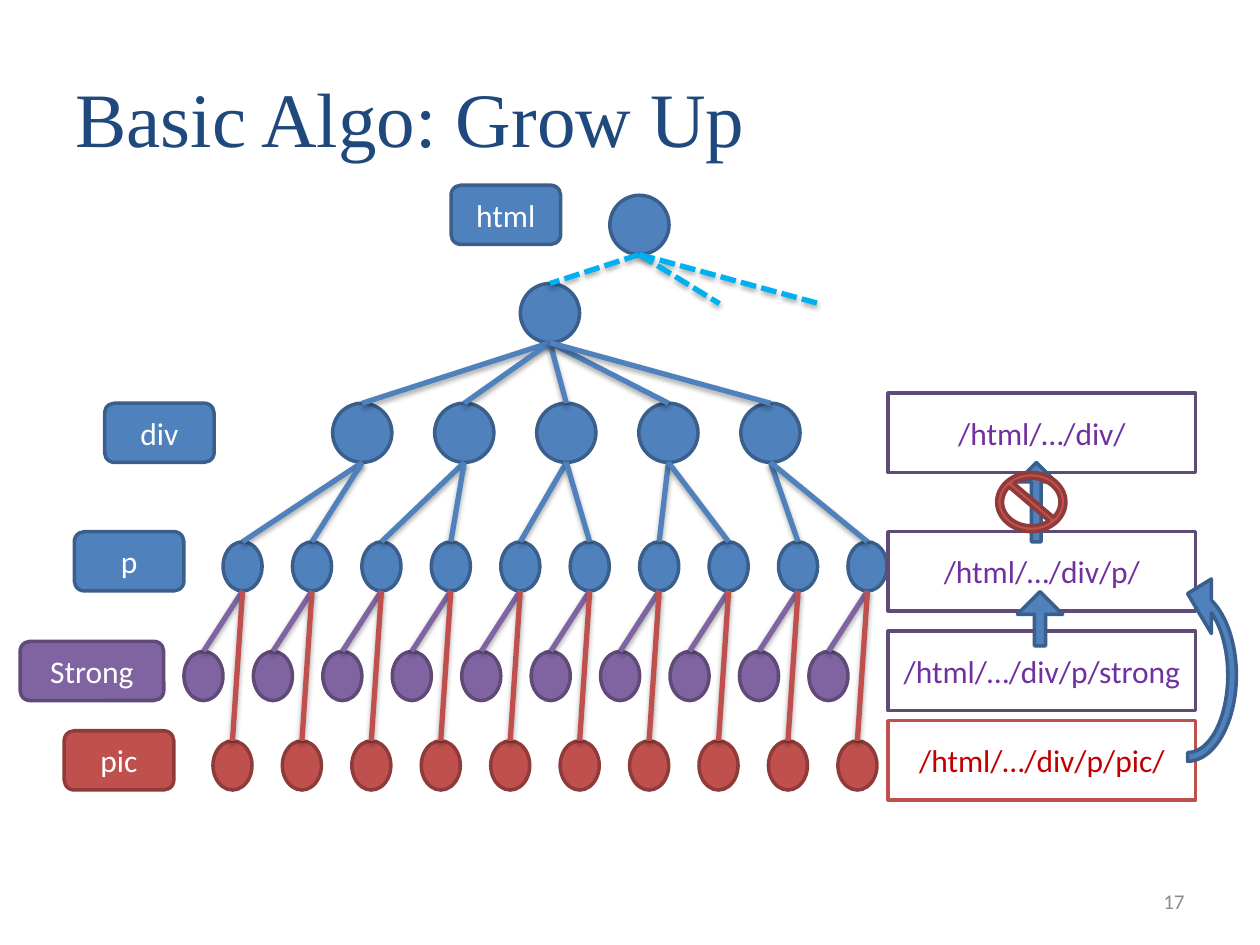
from lxml.etree import SubElement
from pptx import Presentation
from pptx.dml.color import RGBColor
from pptx.enum.dml import MSO_LINE
from pptx.enum.shapes import MSO_CONNECTOR, MSO_SHAPE
from pptx.enum.text import MSO_ANCHOR, PP_ALIGN
from pptx.oxml.ns import qn
from pptx.util import Inches, Pt

BLUE = {"fill": "4F81BD", "line": "3A5F8C"}
PURPLE = {"fill": "8064A2", "line": "5F4A78"}
RED = {"fill": "C0504D", "line": "8E3B39"}
LARGE_NODE = (0.47, 0.47)
SMALL_NODE = (0.31, 0.39)


def color(value):
    """Turn a hex string into a colour."""
    return RGBColor.from_string(value)


def write(shape, text, size, hex_color, font="Calibri", align=PP_ALIGN.CENTER):
    """Write one formatted line of text into a shape."""
    frame = shape.text_frame
    frame.word_wrap = True
    frame.vertical_anchor = MSO_ANCHOR.MIDDLE
    paragraph = frame.paragraphs[0]
    paragraph.text = text
    paragraph.alignment = align
    for name, value in {"size": Pt(size), "name": font}.items():
        setattr(paragraph.font, name, value)
    paragraph.font.color.rgb = color(hex_color)


def add_shape(slide, kind, box, style, adjustments=(), rotation=0):
    """Add a preset shape with the fill and line of a style."""
    shape = slide.shapes.add_shape(kind, *map(Inches, box))
    shape.shadow.inherit = False
    shape.rotation = rotation
    if style["fill"]:
        shape.fill.solid()
        shape.fill.fore_color.rgb = color(style["fill"])
    else:
        shape.fill.background()
    shape.line.color.rgb = color(style["line"])
    shape.line.width = Pt(2)
    for index, value in enumerate(adjustments):
        shape.adjustments[index] = value
    return shape


def add_link(slide, start, end, hex_color, dash=None):
    """Draw a tree link with a soft shadow below it."""
    link = slide.shapes.add_connector(
        MSO_CONNECTOR.STRAIGHT, *map(Inches, (*start, *end)))
    link.line.color.rgb = color(hex_color)
    link.line.width = Pt(3)
    if dash:
        link.line.dash_style = dash
    effects = SubElement(link.element.spPr, qn("a:effectLst"))
    shadow = SubElement(effects, qn("a:outerShdw"), blurRad=str(Pt(3.1)),
                        dist=str(Pt(1.8)), dir="5400000", rotWithShape="0")
    shadow_color = SubElement(shadow, qn("a:srgbClr"), val="000000")
    SubElement(shadow_color, qn("a:alpha"), val="35000")


def add_nodes(slide, left, top, count, pitch, size, style):
    """Add a row of nodes and return their top and bottom points."""
    width, height = size
    tops, bottoms = [], []
    for index in range(count):
        x = left + index * pitch
        add_shape(slide, MSO_SHAPE.OVAL, (x, top, width, height), style)
        tops.append((x + width / 2, top))
        bottoms.append((x + width / 2, top + height))
    return tops, bottoms


def add_tree(slide, left, top):
    """Draw the document tree from its root down to the pic leaves."""
    pitch = 4.96 / 9
    _, root = add_nodes(slide, left + 3.38, top, 1, 0, LARGE_NODE, BLUE)
    body_top, body = add_nodes(slide, left + 2.67, top + 0.7, 1, 0, LARGE_NODE, BLUE)
    div_tops, divs = add_nodes(slide, left + 1.18, top + 1.65, 5, 0.81, LARGE_NODE, BLUE)
    p_tops, paragraphs = add_nodes(
        slide, left + 0.31, top + 2.75, 10, pitch, SMALL_NODE, BLUE)
    strong_tops, _ = add_nodes(slide, left, top + 3.62, 10, pitch, SMALL_NODE, PURPLE)
    for start, end in zip(paragraphs, strong_tops):
        add_link(slide, start, end, PURPLE["fill"])
    for index, end in enumerate(p_tops):
        add_link(slide, divs[index // 2], end, BLUE["fill"])
    for end in div_tops:
        add_link(slide, body[0], end, BLUE["fill"])
    branches = [body_top[0], (left + 5.04, top + 0.86), (left + 4.25, top + 0.86)]
    for end in branches:
        add_link(slide, root[0], end, "00B0F0", MSO_LINE.SQUARE_DOT)
    pic_tops, _ = add_nodes(slide, left + 0.23, top + 4.33, 10, pitch, SMALL_NODE, RED)
    for start, end in zip(paragraphs, pic_tops):
        add_link(slide, start, end, RED["fill"])


def add_labels(slide, left, top):
    """Add the tag name beside each level of the tree."""
    labels = [
        ("html", 3.42, 0, 0.87, BLUE),
        ("div", 0.67, 1.73, 0.87, BLUE),
        ("p", 0.43, 2.75, 0.87, BLUE),
        ("Strong", 0, 3.62, 1.14, PURPLE),
        ("pic", 0.35, 4.33, 0.87, RED),
    ]
    for text, x, y, width, style in labels:
        box = (left + x, top + y, width, 0.47)
        label = add_shape(slide, MSO_SHAPE.ROUNDED_RECTANGLE, box, style)
        write(label, text, 18, "FFFFFF")


def add_paths(slide, left, top, width):
    """Add the path boxes and the arrows that grow them upwards."""
    open_box = {"fill": None, "line": PURPLE["line"]}
    pic_box = {"fill": "FFFFFF", "line": RED["fill"]}
    paths = [
        ("/html/…/div/p/strong", 1.89, open_box, "7030A0"),
        ("/html/…/div/p/pic/", 2.6, pic_box, "C00000"),
        ("/html/…/div/p/", 1.1, open_box, "7030A0"),
        ("/html/…/div/", 0, open_box, "7030A0"),
    ]
    for text, y, style, text_color in paths:
        shape = add_shape(
            slide, MSO_SHAPE.RECTANGLE, (left, top + y, width, 0.63), style)
        write(shape, text, 18, text_color)
    for x, y, length, thickness in [(0.99, 1.61, 0.43, 0.36), (0.86, 0.71, 0.63, 0.31)]:
        add_shape(slide, MSO_SHAPE.RIGHT_ARROW, (left + x, top + y, length, thickness),
                  BLUE, (0.25, 0.5), 270)
    add_shape(slide, MSO_SHAPE.NO_SYMBOL, (left + 0.86, top + 0.63, 0.55, 0.47),
              RED, (0.1,))
    curve = add_shape(
        slide, MSO_SHAPE.CIRCULAR_ARROW, (left + 1.51, top + 1.67, 1.73, 1.14),
        BLUE, (0.06, 11.42, 204.58, 108, 0.19), 270)
    curve.element.spPr.xfrm.set("flipV", "1")


def add_title(slide, left, top, width, height):
    """Place and format the title."""
    title = slide.shapes.title
    box = {"left": left, "top": top, "width": width, "height": height}
    for name, value in box.items():
        setattr(title, name, Inches(value))
    write(title, "Basic Algo: Grow Up", 44, "1F497D", "Times New Roman", PP_ALIGN.LEFT)


def add_page_number(slide, left, top, width, height):
    """Add the page number at the lower right."""
    number = slide.shapes.add_textbox(*map(Inches, (left, top, width, height)))
    write(number, "17", 12, "8C8C8C", align=PP_ALIGN.RIGHT)


def main():
    """Build the slide and save it."""
    presentation = Presentation()
    presentation.slide_width = Inches(10)
    presentation.slide_height = Inches(7.5)
    slide = presentation.slides.add_slide(presentation.slide_layouts[5])
    add_title(slide, 0.5, 0.3, 9, 1.25)
    add_tree(slide, 1.46, 1.55)
    add_labels(slide, 0.16, 1.47)
    add_paths(slide, 7.05, 3.12, 2.44)
    add_page_number(slide, 7.17, 6.95, 2.33, 0.4)
    presentation.save("out.pptx")


if __name__ == "__main__":
    main()
